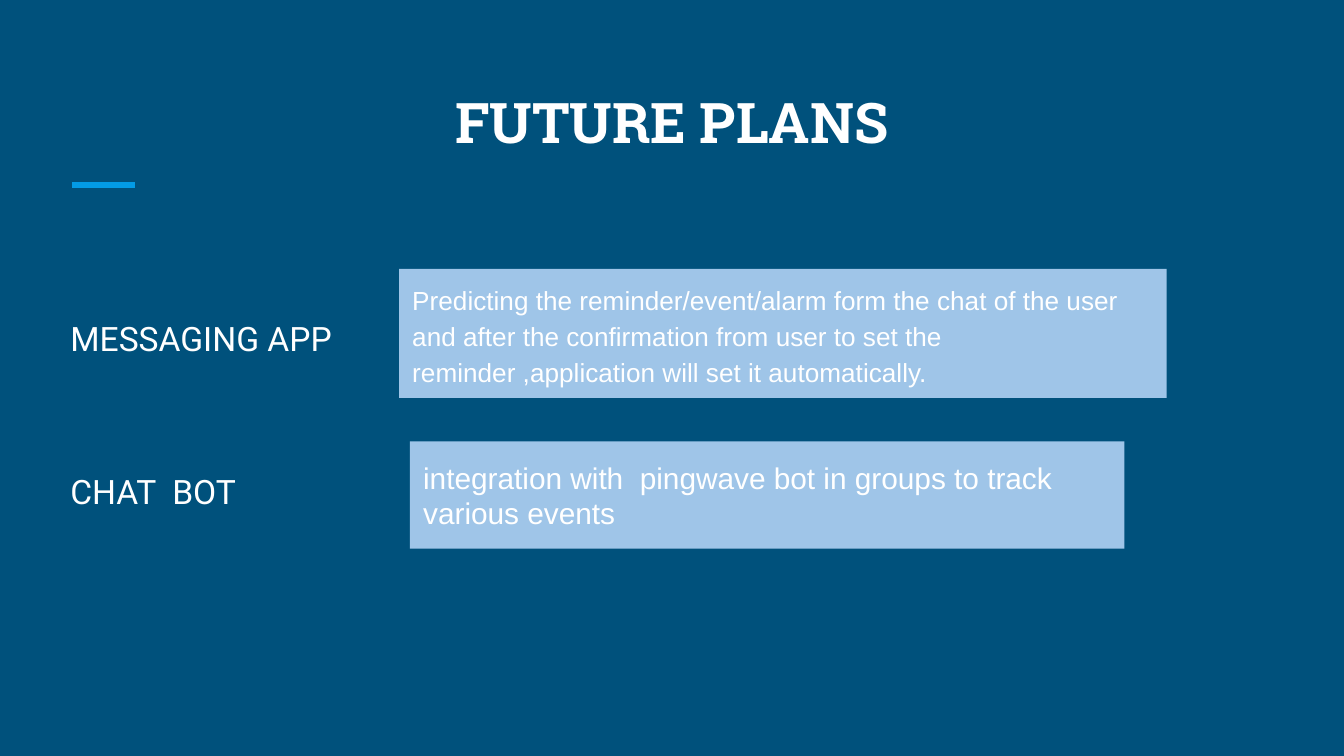
import pptx
import pptx.util
import pptx.dml.color
import pptx.enum.shapes
import pptx.enum.text
import pptx.oxml.ns
from lxml import etree

Pt = pptx.util.Pt
Anchor = pptx.enum.text.MSO_ANCHOR
Align = pptx.enum.text.PP_ALIGN

# Content
HEADING = "FUTURE PLANS"
PLANS = [
    {"label": "MESSAGING APP",
     "detail": "Predicting the reminder/event/alarm form the chat of the user and after "
               "the confirmation from user to set the reminder ,application will set it "
               "automatically.",
     "box": (213.8, 144, 411.2, 69.2), "size": 14, "spacing": 1.15},
    {"label": "CHAT  BOT",
     "detail": "integration with  pingwave bot in groups to track various events",
     "box": (219.6, 236.5, 382.7, 57.5), "size": 16, "spacing": 1},
]
LABEL_GAP = 57
NAVY, ACCENT, PANEL, WHITE = "00517C", "039BE5", "9FC5E8", "FFFFFF"


def paint(color_format, color):
    color_format.rgb = pptx.dml.color.RGBColor.from_string(color)


def place(part, left, top, width, height):
    part.left, part.top, part.width, part.height = map(Pt, (left, top, width, height))


def set_frame(frame, anchor, inset):
    frame.word_wrap = True
    frame.auto_size = pptx.enum.text.MSO_AUTO_SIZE.NONE
    frame.vertical_anchor = anchor
    frame.margin_left = frame.margin_right = Pt(7.2)
    frame.margin_top = frame.margin_bottom = Pt(inset)


def style(paragraph, font, size, align=Align.LEFT, spacing=1, bold=False):
    paragraph.alignment = align
    paragraph.line_spacing = spacing
    paragraph.space_before = paragraph.space_after = Pt(0)
    paragraph.font.name = font
    paragraph.font.size = Pt(size)
    paragraph.font.bold = bold
    paint(paragraph.font.color, WHITE)


def remove_bullet(paragraph):
    properties = paragraph._p.get_or_add_pPr()
    properties.set("marL", "0")
    properties.set("indent", "0")
    bullet = etree.Element(pptx.oxml.ns.qn("a:buNone"))
    properties.insert_element_before(bullet, "a:tabLst", "a:defRPr", "a:extLst")


# Slide and background
deck = pptx.Presentation()
deck.slide_width, deck.slide_height = Pt(720), Pt(405)
slide = deck.slides.add_slide(deck.slide_layouts[1])
slide.background.fill.solid()
paint(slide.background.fill.fore_color, NAVY)

# Title and the accent rule below it
title = slide.shapes.title
place(title, 30.5, 36, 659, 54)
set_frame(title.text_frame, Anchor.BOTTOM, 7.2)
title.text_frame.text = HEADING
style(title.text_frame.paragraphs[0], "Roboto Slab", 30, Align.CENTER, bold=True)

accent = slide.shapes.add_connector(
    pptx.enum.shapes.MSO_CONNECTOR.STRAIGHT, Pt(38.7), Pt(99.2), Pt(72.2), Pt(99.2))
accent.line.width = Pt(3)
paint(accent.line.color, ACCENT)
etree.SubElement(accent._element.spPr, pptx.oxml.ns.qn("a:effectLst"))

# Plan labels
labels = slide.placeholders[1]
place(labels, 30.5, 160, 659, 200)
set_frame(labels.text_frame, Anchor.TOP, 7.2)
labels.text_frame.text = "\n".join(plan["label"] for plan in PLANS)
for index, label in enumerate(labels.text_frame.paragraphs):
    style(label, "Roboto", 18, spacing=1.15)
    label.space_before = Pt(LABEL_GAP if index else 0)
    remove_bullet(label)

# Plan details
for plan in PLANS:
    panel = slide.shapes.add_shape(
        pptx.enum.shapes.MSO_SHAPE.RECTANGLE, *map(Pt, plan["box"]))
    panel.shadow.inherit = False
    panel.fill.solid()
    paint(panel.fill.fore_color, PANEL)
    panel.line.fill.background()
    set_frame(panel.text_frame, Anchor.MIDDLE, 3.6)
    panel.text_frame.text = plan["detail"]
    style(panel.text_frame.paragraphs[0], "Arial", plan["size"], spacing=plan["spacing"])

deck.save("out.pptx")
